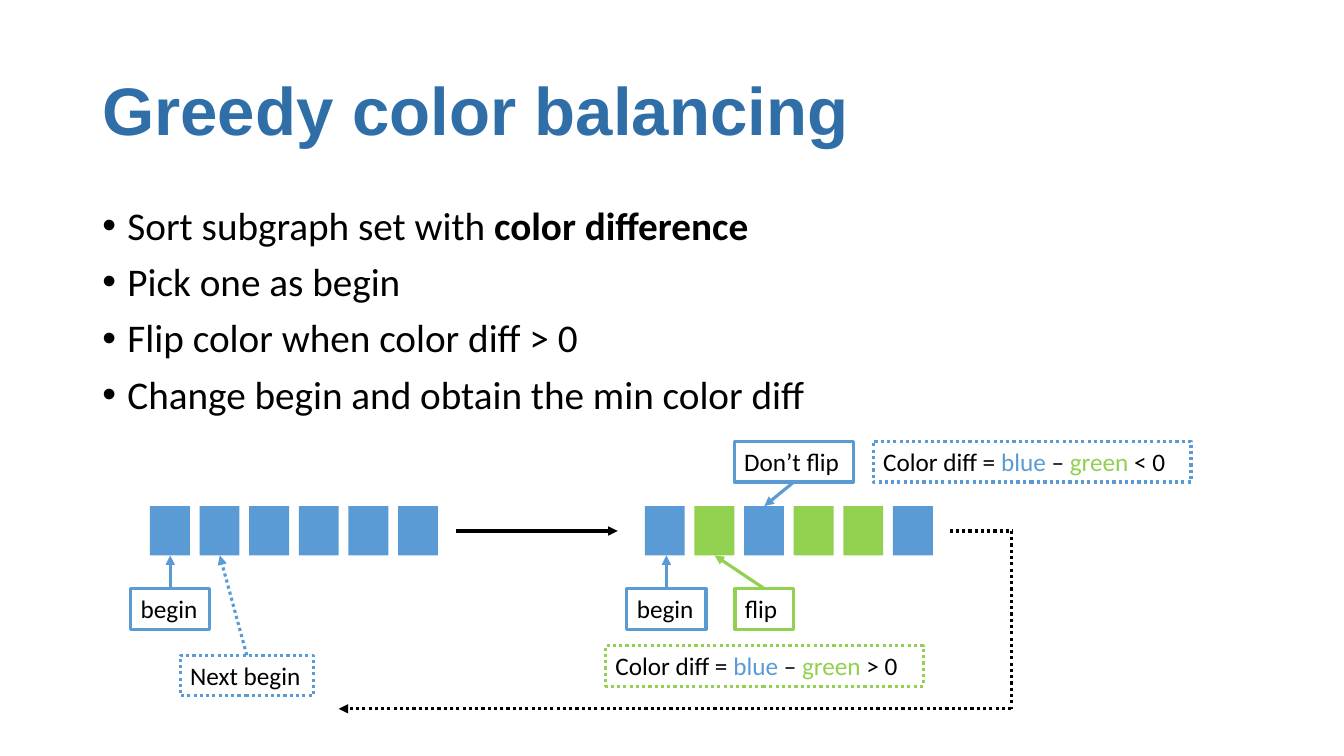
from lxml.etree import SubElement
from pptx import Presentation
from pptx.dml.color import RGBColor
from pptx.enum.dml import MSO_LINE
from pptx.enum.shapes import MSO_CONNECTOR, MSO_SHAPE
from pptx.enum.text import MSO_ANCHOR
from pptx.oxml.ns import qn
from pptx.util import Pt

theme = {
    "title": RGBColor.from_string("2F6EA7"),
    "ink": RGBColor.from_string("000000"),
    "blue": RGBColor.from_string("5B9BD5"),
    "green": RGBColor.from_string("92D050"),
    "head": Pt(48),
    "body": Pt(28),
    "note": Pt(18),
    "line": Pt(2.25),
}

deck = Presentation()
deck.slide_width, deck.slide_height = Pt(960), Pt(540)
slide = deck.slides.add_slide(deck.slide_layouts[6])
shapes = slide.shapes


def label(left, top, width, text, color, dotted=False):
    box = shapes.add_textbox(Pt(left), Pt(top), Pt(width), Pt(29))
    box.line.color.rgb = theme[color]
    box.line.width = theme["line"]
    if dotted:
        box.line.dash_style = MSO_LINE.ROUND_DOT
    frame = box.text_frame
    frame.word_wrap = True
    frame.margin_right = 0
    for part in text.split("|"):
        run = frame.paragraphs[0].add_run()
        run.text = part
        run.font.name = "Calibri"
        run.font.size = theme["note"]
        run.font.color.rgb = theme[part if part in ("blue", "green") else "ink"]


def link(start, end, color, dotted=False, arrow=True):
    line = shapes.add_connector(
        MSO_CONNECTOR.STRAIGHT, *(Pt(n) for n in (*start, *end)))
    line.line.color.rgb = theme[color]
    line.line.width = theme["line"]
    if dotted:
        line.line.dash_style = MSO_LINE.ROUND_DOT
    if arrow:
        SubElement(line.line._get_or_add_ln(), qn("a:tailEnd"), type="triangle")
    SubElement(line._element.spPr, qn("a:effectLst"))


title = shapes.add_textbox(Pt(66), Pt(28.75), Pt(828), Pt(104.4)).text_frame
title.word_wrap = True
title.vertical_anchor = MSO_ANCHOR.MIDDLE
title.text = "Greedy color balancing"
title.paragraphs[0].line_spacing = 0.9
font = title.paragraphs[0].runs[0].font
font.name, font.size, font.bold = "Arial", theme["head"], True
font.color.rgb = theme["title"]

body = shapes.add_textbox(Pt(66), Pt(143.75), Pt(828), Pt(342.6)).text_frame
body.word_wrap = True
body.text = "\n".join([
    "Sort subgraph set with ",
    "Pick one as begin",
    "Flip color when color diff > 0",
    "Change begin and obtain the min color diff",
])
term = body.paragraphs[0].add_run()
term.text = "color difference"
term.font.bold = True
for point in body.paragraphs:
    point.line_spacing = 0.9
    point.space_before = Pt(10)
    props = point._p.get_or_add_pPr()
    props.set("marL", str(Pt(18)))
    props.set("indent", str(-Pt(18)))
    SubElement(props, qn("a:buFont"), typeface="Arial")
    SubElement(props, qn("a:buChar"), char="•")
    for run in point.runs:
        run.font.name = "Calibri"
        run.font.size = theme["body"]
        run.font.color.rgb = theme["ink"]

top, base, mid = 361.5, 396.75, 379.25
pitch = 35.45
rows = [
    (107.1, ["blue"] * 6),
    (460.6, ["blue", "green", "blue", "green", "green", "blue"]),
]
for left, colors in rows:
    group = shapes.add_group_shape()
    for step, color in enumerate(colors):
        cell = group.shapes.add_shape(
            MSO_SHAPE.RECTANGLE, Pt(left + step * pitch), Pt(top),
            Pt(28.5), Pt(base - top))
        cell.shadow.inherit = False
        cell.fill.solid()
        cell.fill.fore_color.rgb = theme[color]
        cell.line.fill.background()

for left in (93.4, 447.8):
    label(left, 420.5, 56.5, "begin", "blue")
    link((left + 28.2, 420.5), (left + 28.2, base), "blue")

label(128.8, 468, 95, "Next begin", "blue", dotted=True)
link((176.3, 468), (157, base), "blue", dotted=True)
label(525, 420.5, 42, "flip", "green")
link((546, 420.5), (510.5, base), "green")
label(524.5, 315.3, 85, "Don’t flip", "blue")
link((567, 344.3), (546, top), "blue")
label(432.5, 461.2, 227, "Color diff = |blue| – |green| > 0", "green", dotted=True)
label(623.8, 315.3, 227, "Color diff = |blue| – |green| < 0", "blue", dotted=True)

link((325.5, mid), (441.2, mid), "ink")
turn, low = 722.3, 506.3
link((678.3, mid), (723.5, mid), "ink", dotted=True, arrow=False)
link((turn, mid), (turn, low), "ink", dotted=True, arrow=False)
link((turn, low), (242, low), "ink", dotted=True)

deck.save("out.pptx")
